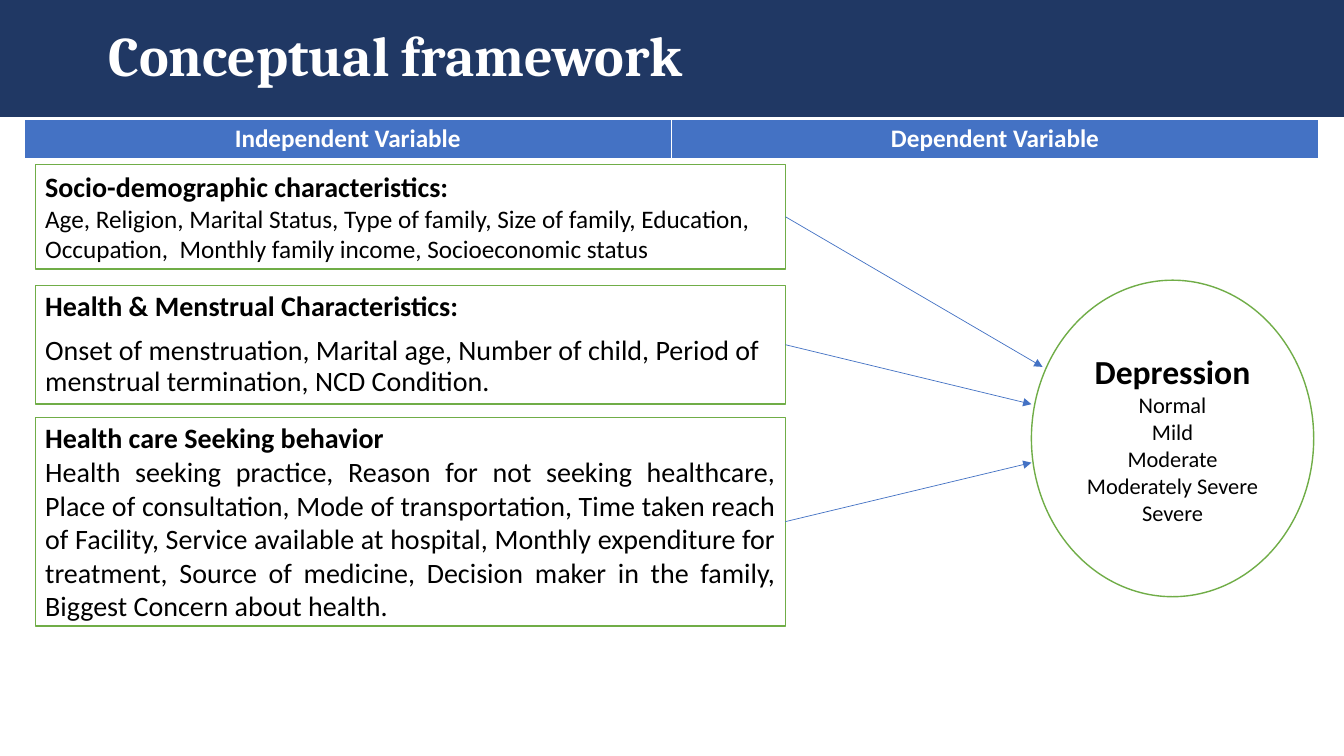
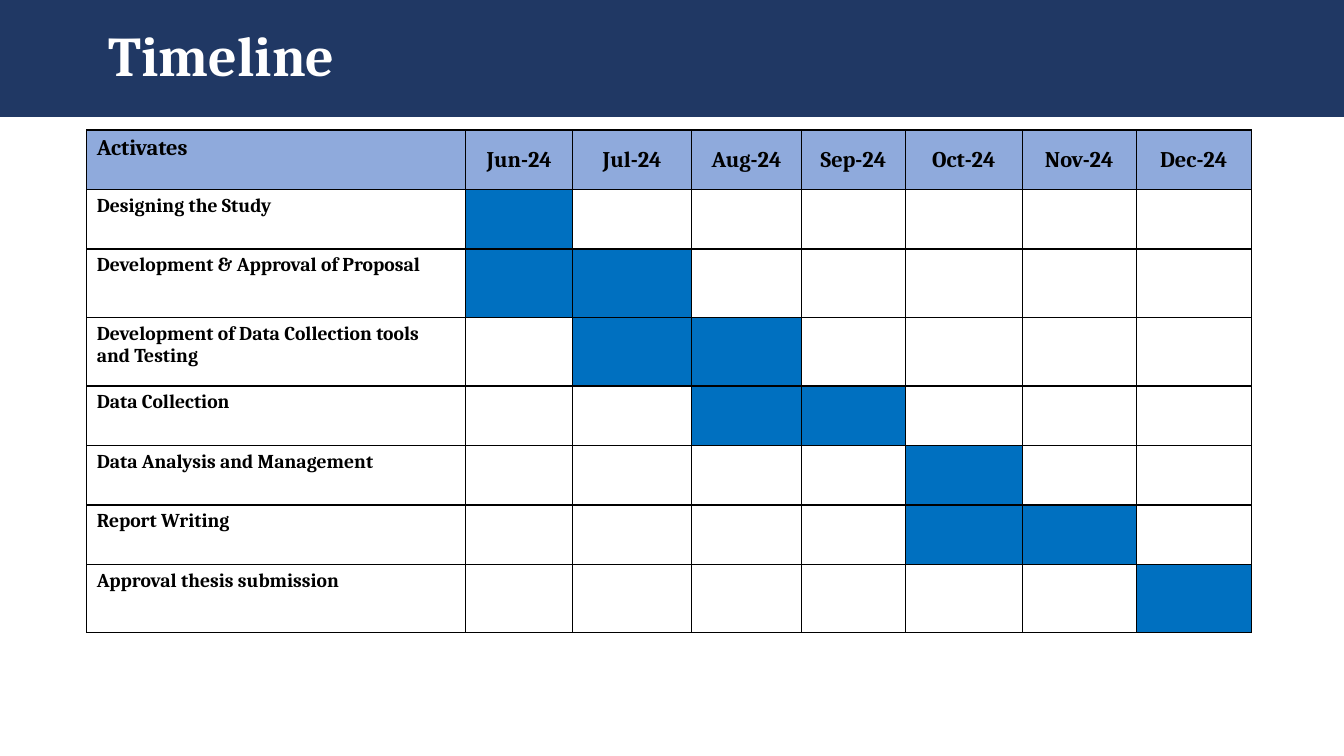
from pptx import Presentation
from pptx.dml.color import RGBColor
from pptx.enum.shapes import MSO_CONNECTOR, MSO_SHAPE
from pptx.enum.text import MSO_ANCHOR, PP_ALIGN
from pptx.oxml.ns import qn
from pptx.util import Inches, Pt
from lxml.etree import SubElement, Element

# Shared look
WIDTH, HEIGHT, BAND_HEIGHT = 13.33, 7.5, 1.16
NAVY, BLUE, GREEN = "203864", "4472C4", "70AD47"
PALE_BLUE, BAR_BLUE, WHITE, BLACK = "8FAADC", "0070C0", "FFFFFF", "000000"
BODY, SERIF = "Calibri", "Cambria"
LEFT, CENTER, JUSTIFY = PP_ALIGN.LEFT, PP_ALIGN.CENTER, PP_ALIGN.JUSTIFY

# Conceptual framework: heading, text, text format, top, height, arrow end
VARIABLE_HEADS = ["Independent Variable", "Dependent Variable"]
FACTOR_LEFT, FACTOR_WIDTH = 0.35, 7.44
FACTORS = [
    ("Socio-demographic characteristics:",
     "Age, Religion, Marital Status, Type of family, Size of family, Education, "
     "Occupation,  Monthly family income, Socioeconomic status",
     dict(size=18), {}, 1.63, 1.04, (10.34, 3.64)),
    ("Health & Menstrual Characteristics:",
     "Onset of menstruation, Marital age, Number of child, Period of "
     "menstrual termination, NCD Condition.",
     dict(size=20), dict(line_spacing=0.9, space_before=Pt(10)),
     2.83, 1.18, (10.23, 4.01)),
    ("Health care Seeking behavior",
     "Health seeking practice, Reason for not seeking healthcare, Place of "
     "consultation, Mode of transportation, Time taken reach of Facility, "
     "Service available at hospital, Monthly expenditure for treatment, Source "
     "of medicine, Decision maker in the family, Biggest Concern about health.",
     dict(size=20, align=JUSTIFY), {}, 4.14, 2.07, (10.23, 4.59)),
]
OUTCOME = "Depression"
LEVELS = ["Normal", "Mild", "Moderate", "Moderately Severe", "Severe"]

# Timeline: activity, row height, first and last active month
MONTHS = ["Jun-24", "Jul-24", "Aug-24", "Sep-24", "Oct-24", "Nov-24", "Dec-24"]
ACTIVITIES = [
    ("Designing the Study", 0.59, 0, 0),
    ("Development & Approval of Proposal", 0.68, 0, 1),
    ("Development of Data Collection tools and Testing", 0.68, 1, 2),
    ("Data Collection", 0.59, 2, 3),
    ("Data Analysis and Management", 0.59, 4, 4),
    ("Report Writing", 0.59, 4, 5),
    ("Approval thesis submission", 0.68, 6, 6),
]
TIMELINE_COLUMNS = [3.76, 1.06, 1.18, 1.09, 1.03, 1.16, 1.13, 1.14]


def color(hex_string):
    return RGBColor.from_string(hex_string)


def inches(*lengths):
    return [Inches(length) for length in lengths]


def write(paragraph, text, size, font=BODY, ink=BLACK, bold=False,
          align=LEFT, spacing=None):
    run = paragraph.add_run()
    run.text = text
    for name, value in dict(size=Pt(size), name=font, bold=bold).items():
        setattr(run.font, name, value)
    run.font.color.rgb = color(ink)
    for name, value in dict(spacing or {}, alignment=align).items():
        setattr(paragraph, name, value)


def add_box(slide, preset, box, fill, outline=None):
    shape = slide.shapes.add_shape(preset, *inches(*box))
    shape.shadow.inherit = False
    shape.fill.solid()
    shape.fill.fore_color.rgb = color(fill)
    if outline:
        shape.line.color.rgb = color(outline)
        shape.line.width = Pt(1)
    else:
        shape.line.fill.background()
    shape.text_frame.word_wrap = True
    shape.text_frame.vertical_anchor = MSO_ANCHOR.MIDDLE
    return shape


def add_titled_slide(deck, title):
    slide = deck.slides.add_slide(deck.slide_layouts[6])
    band = add_box(slide, MSO_SHAPE.RECTANGLE, (0, 0, WIDTH, BAND_HEIGHT), NAVY)
    band.text_frame.margin_left = Inches(1.08)
    write(band.text_frame.paragraphs[0], title, 40, SERIF, WHITE, True,
          spacing=dict(line_spacing=0.9))
    return slide


def add_grid(slide, left, top, columns, rows):
    table = slide.shapes.add_table(
        len(rows), len(columns), *inches(left, top, sum(columns), sum(rows))).table
    table.first_row = table.horz_banding = False
    for column, width in zip(table.columns, columns):
        column.width = Inches(width)
    for row, height in zip(table.rows, rows):
        row.height = Inches(height)
    return table


def dress_cell(cell, fill, border, bottom_width=1):
    cell.fill.solid()
    cell.fill.fore_color.rgb = color(fill)
    properties = cell._tc.get_or_add_tcPr()
    for index, side in enumerate("LRTB"):
        points = bottom_width if side == "B" else 1
        edge = Element(qn(f"a:ln{side}"), w=str(Pt(points)))
        SubElement(SubElement(edge, qn("a:solidFill")), qn("a:srgbClr"), val=border)
        properties.insert(index, edge)


def add_arrow(slide, source, end):
    start = (FACTOR_LEFT + FACTOR_WIDTH, end[1])
    arrow = slide.shapes.add_connector(MSO_CONNECTOR.STRAIGHT, *inches(*start, *end))
    arrow.begin_connect(source, 3)
    arrow.line.color.rgb = color(BLUE)
    arrow.line.width = Pt(0.5)
    SubElement(arrow.line._get_or_add_ln(), qn("a:tailEnd"), type="triangle")
    SubElement(arrow._element.spPr, qn("a:effectLst"))


def build_framework(deck):
    slide = add_titled_slide(deck, "Conceptual framework")

    # Variable headings
    heads = add_grid(slide, 0.24, 1.18, [6.42] * 2, [0.41])
    for cell, text in zip(heads.iter_cells(), VARIABLE_HEADS):
        dress_cell(cell, BLUE, WHITE, 3)
        write(cell.text_frame.paragraphs[0], text, 18, ink=WHITE, bold=True,
              align=CENTER)

    # Outcome with its levels
    outcome = add_box(slide, MSO_SHAPE.OVAL, (10.23, 2.78, 2.8, 3.14), WHITE, GREEN)
    frame = outcome.text_frame
    write(frame.paragraphs[0], OUTCOME, 24, bold=True, align=CENTER)
    for level in LEVELS:
        write(frame.add_paragraph(), level, 16, align=CENTER)

    # Factors, each pointing to the outcome
    for heading, text, style, spacing, top, height, arrow_end in FACTORS:
        factor = add_box(slide, MSO_SHAPE.RECTANGLE,
                         (FACTOR_LEFT, top, FACTOR_WIDTH, height), WHITE, GREEN)
        frame = factor.text_frame
        write(frame.paragraphs[0], heading, 20, bold=True, spacing=spacing)
        write(frame.add_paragraph(), text, spacing=spacing, **style)
        add_arrow(slide, factor, arrow_end)


def build_timeline(deck):
    slide = add_titled_slide(deck, "Timeline")
    heights = [0.59] + [height for _, height, _, _ in ACTIVITIES]
    grid = add_grid(slide, 0.86, 1.29, TIMELINE_COLUMNS, heights)

    # Header row
    for column, text in enumerate(["Activates"] + MONTHS):
        cell = grid.cell(0, column)
        dress_cell(cell, PALE_BLUE, BLACK)
        write(cell.text_frame.paragraphs[0], text, 16, SERIF, bold=True,
              align=CENTER if column else LEFT)
        if column:
            month_format = dict(vertical_anchor=MSO_ANCHOR.MIDDLE, margin_bottom=0,
                                margin_left=Inches(0.01), margin_top=Inches(0.01),
                                margin_right=Inches(0.01))
            for name, value in month_format.items():
                setattr(cell, name, value)

    # Activities and their active months
    for row, (activity, _, first, last) in enumerate(ACTIVITIES, 1):
        label = grid.cell(row, 0)
        dress_cell(label, WHITE, BLACK)
        write(label.text_frame.paragraphs[0], activity, 14, SERIF, bold=True)
        for month in range(len(MONTHS)):
            fill = BAR_BLUE if first <= month <= last else WHITE
            dress_cell(grid.cell(row, month + 1), fill, BLACK)


def main():
    deck = Presentation()
    deck.slide_width, deck.slide_height = inches(WIDTH, HEIGHT)
    build_framework(deck)
    build_timeline(deck)
    deck.save("out.pptx")


if __name__ == "__main__":
    main()
